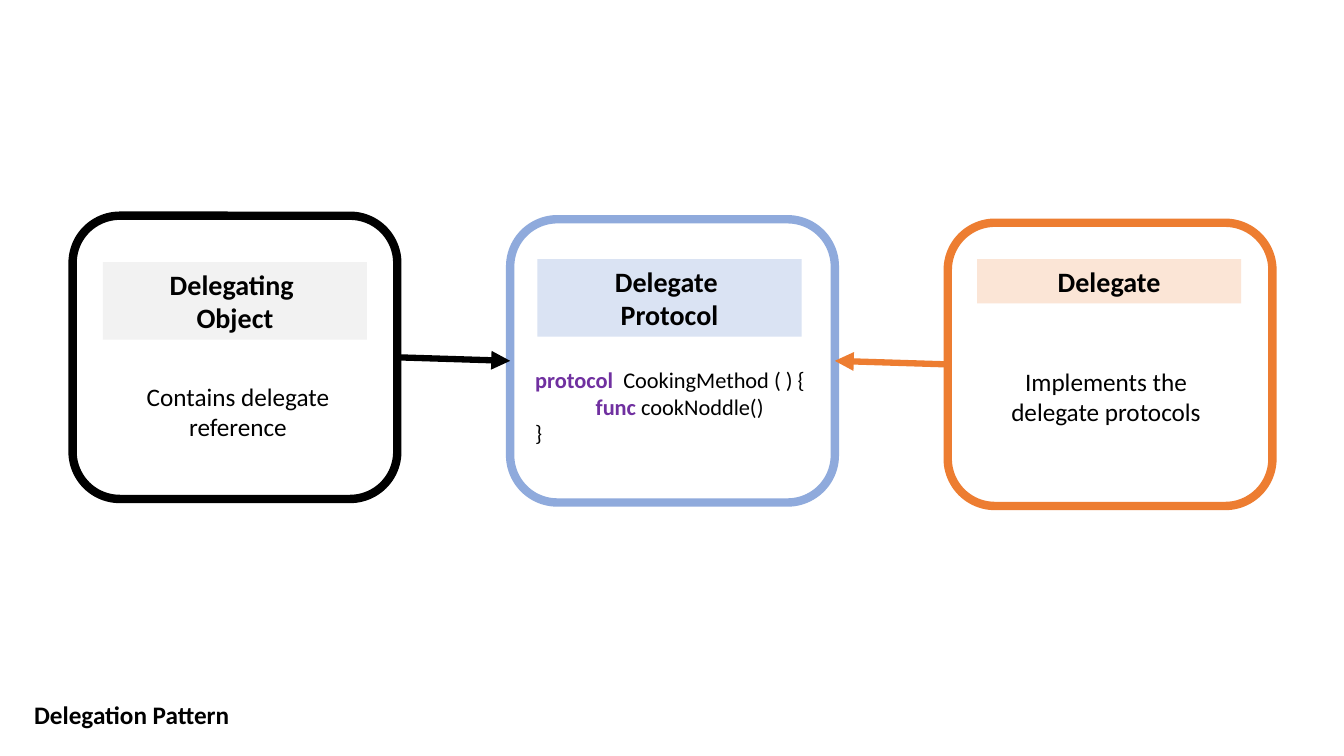
import pptx
import pptx.util
import pptx.dml.color
import pptx.enum.shapes
import pptx.enum.text
import lxml.etree

Inches = pptx.util.Inches
Pt = pptx.util.Pt
SHAPES = pptx.enum.shapes.MSO_SHAPE
ALIGN = pptx.enum.text.PP_ALIGN

BLACK, PURPLE = "000000", "7030A0"
CARD_W, CARD_H = 3.22, 2.81
LABEL_W = 2.62
CARD_LEFT, CARD_TOP = 0.72, 2.14
STEP_X, STEP_Y = 4.34, 0.035

roles = [
    {"line": BLACK, "tint": "F2F2F2", "heading": ["Delegating ", "Object"],
     "heading_at": (1.02, 2.6, LABEL_W, 0.77),
     "detail": "Contains delegate reference", "detail_at": (1.05, 3.73, LABEL_W, 0.71)},
    {"line": "8FAADC", "tint": "DAE3F3", "heading": ["Delegate ", "Protocol"],
     "heading_at": (5.33, 2.57, LABEL_W, 0.77)},
    {"line": "ED7D31", "tint": "FBE5D6", "heading": ["Delegate"],
     "heading_at": (9.69, 2.57, LABEL_W, 0.44),
     "detail": "Implements the delegate protocols", "detail_at": (9.66, 3.58, LABEL_W, 0.71)},
]
code_at = (5.21, 3.58, 2.91, 0.91)
code = [
    (0, [("protocol  ", PURPLE, True), ("CookingMethod ( ) {", BLACK, False)]),
    (0.6, [("func ", PURPLE, True), ("cookNoddle()", BLACK, False)]),
    (0, [("}", BLACK, False)]),
]
caption = "Delegation Pattern"
caption_at = (0.24, 6.89, 2.16, 0.4)
LEFT_SITE, RIGHT_SITE = 1, 3
arrows = [(0, RIGHT_SITE, 1, LEFT_SITE), (2, LEFT_SITE, 1, RIGHT_SITE)]


def rgb(value):
    return pptx.dml.color.RGBColor.from_string(value)


def place(box):
    return [Inches(length) for length in box]


def style(run, size, color=BLACK, bold=False):
    run.font.name = "Calibri"
    run.font.size = Pt(size)
    run.font.bold = bold
    run.font.color.rgb = rgb(color)


def write(holder, lines, size, bold=False, align=ALIGN.CENTER, wrap=True):
    frame = holder.text_frame
    frame.word_wrap = wrap
    frame.text = "\n".join(lines)
    for paragraph in frame.paragraphs:
        paragraph.alignment = align
        for run in paragraph.runs:
            style(run, size, bold=bold)


def add_panel(kind, box, fill, line=None):
    panel = slide.shapes.add_shape(kind, *place(box))
    panel.shadow.inherit = False
    panel.fill.solid()
    panel.fill.fore_color.rgb = rgb(fill)
    if line:
        panel.line.color.rgb = rgb(line)
        panel.line.width = Pt(6)
    else:
        panel.line.fill.background()
    return panel


def add_arrow(start, start_site, end, end_site, color):
    arrow = slide.shapes.add_connector(pptx.enum.shapes.MSO_CONNECTOR.STRAIGHT, 0, 0, 0, 0)
    arrow.begin_connect(start, start_site)
    arrow.end_connect(end, end_site)
    arrow.line.color.rgb = rgb(color)
    arrow.line.width = Pt(4.5)
    properties = arrow._element.spPr
    ns = pptx.oxml.ns.qn
    lxml.etree.SubElement(properties.find(ns("a:ln")), ns("a:tailEnd"), type="triangle")
    lxml.etree.SubElement(properties, ns("a:effectLst"))


deck = pptx.Presentation()
deck.slide_width, deck.slide_height = Inches(13.33), Inches(7.5)
slide = deck.slides.add_slide(deck.slide_layouts[6])

cards = []
for i, role in enumerate(roles):
    card_at = (CARD_LEFT + i * STEP_X, CARD_TOP + i * STEP_Y, CARD_W, CARD_H)
    cards.append(add_panel(SHAPES.ROUNDED_RECTANGLE, card_at, "FFFFFF", role["line"]))
    heading = add_panel(SHAPES.RECTANGLE, role["heading_at"], role["tint"])
    write(heading, role["heading"], 20, bold=True)
    if "detail" in role:
        detail = slide.shapes.add_textbox(*place(role["detail_at"]))
        write(detail, [role["detail"]], 18)

listing = slide.shapes.add_textbox(*place(code_at)).text_frame
listing.word_wrap = False
for i, (indent, tokens) in enumerate(code):
    statement = listing.add_paragraph() if i else listing.paragraphs[0]
    statement._p.get_or_add_pPr().set("marL", str(Inches(indent)))
    for text, color, bold in tokens:
        run = statement.add_run()
        run.text = text
        style(run, 16, color, bold)

for start, start_site, end, end_site in arrows:
    add_arrow(cards[start], start_site, cards[end], end_site, roles[start]["line"])

write(slide.shapes.add_textbox(*place(caption_at)), [caption], 18, True, ALIGN.LEFT, False)

deck.save("out.pptx")
